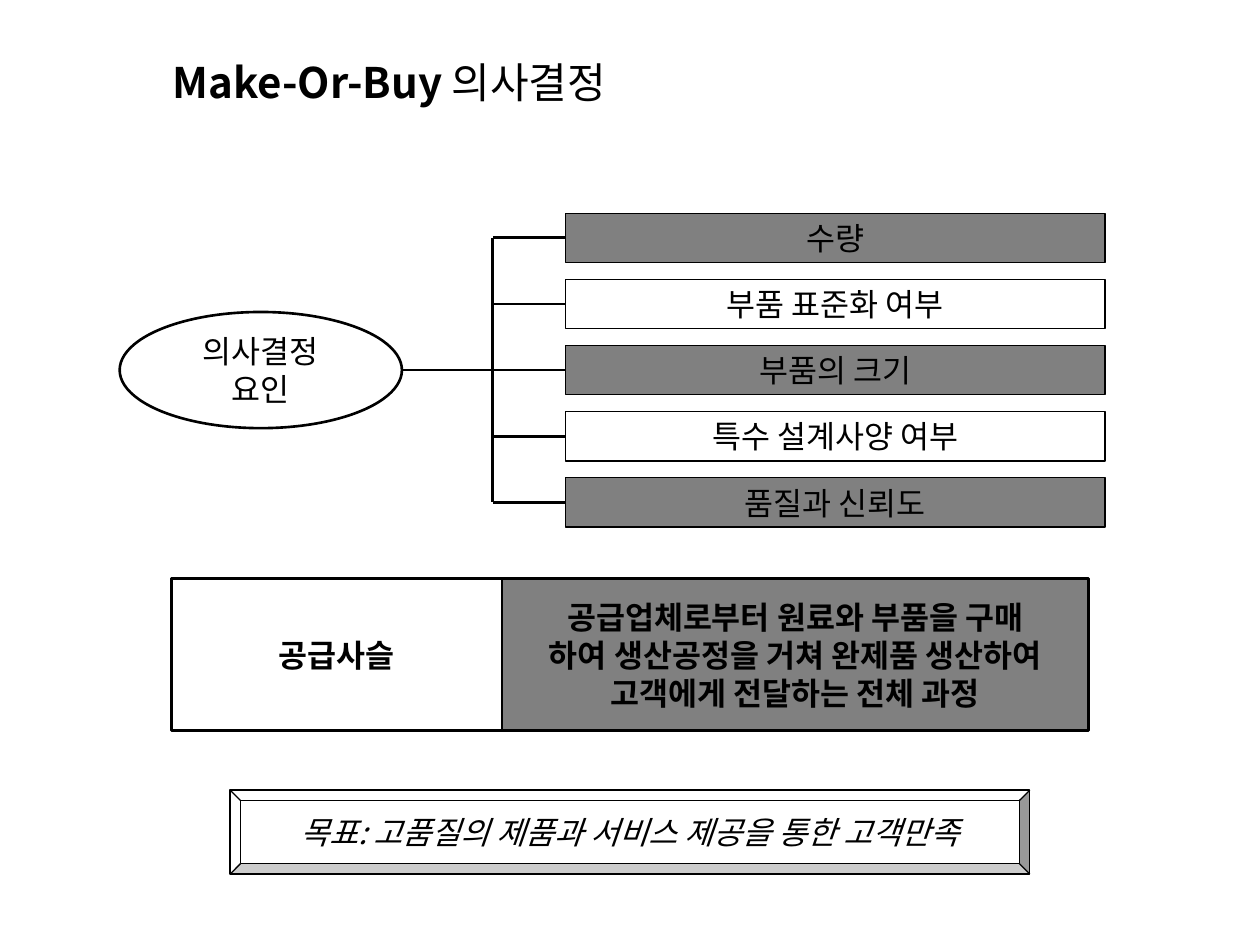
from pptx import Presentation
from pptx.dml.color import RGBColor
from pptx.enum.shapes import MSO_CONNECTOR, MSO_SHAPE
from pptx.enum.text import MSO_ANCHOR, PP_ALIGN
from pptx.oxml.ns import qn
from pptx.util import Pt

# Content
TITLE_RUNS = [("Make-Or-Buy ", True), ("의사결정", False)]
HUB_TEXT = "의사결정\n요인"
FACTORS = ["수량", "부품 표준화 여부", "부품의 크기", "특수 설계사양 여부", "품질과 신뢰도"]
CHAIN_TERM = "공급사슬"
CHAIN_MEANING = "공급업체로부터 원료와 부품을 구매\n하여 생산공정을 거쳐 완제품 생산하여\n고객에게 전달하는 전체 과정"
GOAL = "목표: 고품질의 제품과 서비스 제공을 통한 고객만족"

# Style
FONT = "Noto Sans CJK KR"
BLACK = RGBColor(0x00, 0x00, 0x00)
WHITE = RGBColor(0xFF, 0xFF, 0xFF)
GRAY = RGBColor(0x80, 0x80, 0x80)

# Layout in points
FACTOR_LEFT, FACTOR_TOP, FACTOR_WIDTH, FACTOR_HEIGHT = 323.3, 121.8, 308.2, 28.2
FACTOR_PITCH = 37.8
TRUNK_X = 281.5
HUB_LEFT, HUB_WIDTH, HUB_HEIGHT = 68.4, 161.3, 66.4
CHAIN_LEFT, CHAIN_TOP, CHAIN_HEIGHT = 97.9, 330.5, 87.1
TERM_WIDTH, MEANING_WIDTH = 189, 335


def format_run(run, size, bold=False, italic=False):
    font = run.font
    font.size, font.bold, font.italic = Pt(size), bold, italic
    font.name = FONT
    font.color.rgb = BLACK
    east_asian = run._r.get_or_add_rPr().makeelement(qn("a:ea"), {"typeface": FONT})
    run._r.rPr.find(qn("a:latin")).addnext(east_asian)


def add_box(preset, left, top, width, height, text, fill, line_width, bold=False, italic=False):
    shape = slide.shapes.add_shape(preset, Pt(left), Pt(top), Pt(width), Pt(height))
    shape.shadow.inherit = False
    shape.fill.solid()
    shape.fill.fore_color.rgb = fill
    shape.line.color.rgb = BLACK
    shape.line.width = Pt(line_width)
    frame = shape.text_frame
    frame.word_wrap = True
    frame.vertical_anchor = MSO_ANCHOR.MIDDLE
    frame.margin_top = frame.margin_bottom = 0
    frame.text = text
    for paragraph in frame.paragraphs:
        paragraph.alignment = PP_ALIGN.CENTER
        for run in paragraph.runs:
            format_run(run, 18, bold, italic)
    return shape


def add_line(start_x, start_y, end_x, end_y):
    connector = slide.shapes.add_connector(
        MSO_CONNECTOR.STRAIGHT, Pt(start_x), Pt(start_y), Pt(end_x), Pt(end_y))
    connector.line.color.rgb = BLACK
    connector.line.width = Pt(1.5)
    properties = connector._element.spPr
    properties.append(properties.makeelement(qn("a:effectLst"), {}))
    return connector


presentation = Presentation()
presentation.slide_width, presentation.slide_height = Pt(720), Pt(540)
slide = presentation.slides.add_slide(presentation.slide_layouts[5])

# Title
title = slide.shapes.title
title.left, title.top, title.width, title.height = Pt(91.4), Pt(28.8), Pt(331.2), Pt(36)
title_frame = title.text_frame
title_frame.vertical_anchor = MSO_ANCHOR.MIDDLE
title_frame.margin_top = title_frame.margin_bottom = 0
title_paragraph = title_frame.paragraphs[0]
title_paragraph.alignment = PP_ALIGN.LEFT
for text, bold in TITLE_RUNS:
    run = title_paragraph.add_run()
    run.text = text
    format_run(run, 24, bold)

# Factors, each joined to the trunk
centers = [FACTOR_TOP + FACTOR_HEIGHT / 2 + index * FACTOR_PITCH for index in range(len(FACTORS))]
for index, (factor, center) in enumerate(zip(FACTORS, centers)):
    box = add_box(MSO_SHAPE.RECTANGLE, FACTOR_LEFT, center - FACTOR_HEIGHT / 2, FACTOR_WIDTH,
                  FACTOR_HEIGHT, factor, WHITE if index % 2 else GRAY, 0.75)
    branch = add_line(FACTOR_LEFT, center, TRUNK_X, center)
    branch.begin_connect(box, 1)

# Trunk and hub
middle = centers[len(centers) // 2]
add_line(TRUNK_X, centers[0], TRUNK_X, centers[-1])
add_line(HUB_LEFT + HUB_WIDTH, middle, TRUNK_X, middle)
add_box(MSO_SHAPE.OVAL, HUB_LEFT, middle - HUB_HEIGHT / 2, HUB_WIDTH, HUB_HEIGHT,
        HUB_TEXT, WHITE, 1.5)

# Supply chain: term and meaning side by side
add_box(MSO_SHAPE.RECTANGLE, CHAIN_LEFT, CHAIN_TOP, TERM_WIDTH, CHAIN_HEIGHT,
        CHAIN_TERM, WHITE, 1.5, bold=True)
add_box(MSO_SHAPE.RECTANGLE, CHAIN_LEFT + TERM_WIDTH, CHAIN_TOP, MEANING_WIDTH, CHAIN_HEIGHT,
        CHAIN_MEANING, GRAY, 1.5, bold=True)

# Goal
add_box(MSO_SHAPE.BEVEL, 131.5, 451.5, 457, 48, GOAL, WHITE, 0.75, italic=True)

presentation.save("out.pptx")
